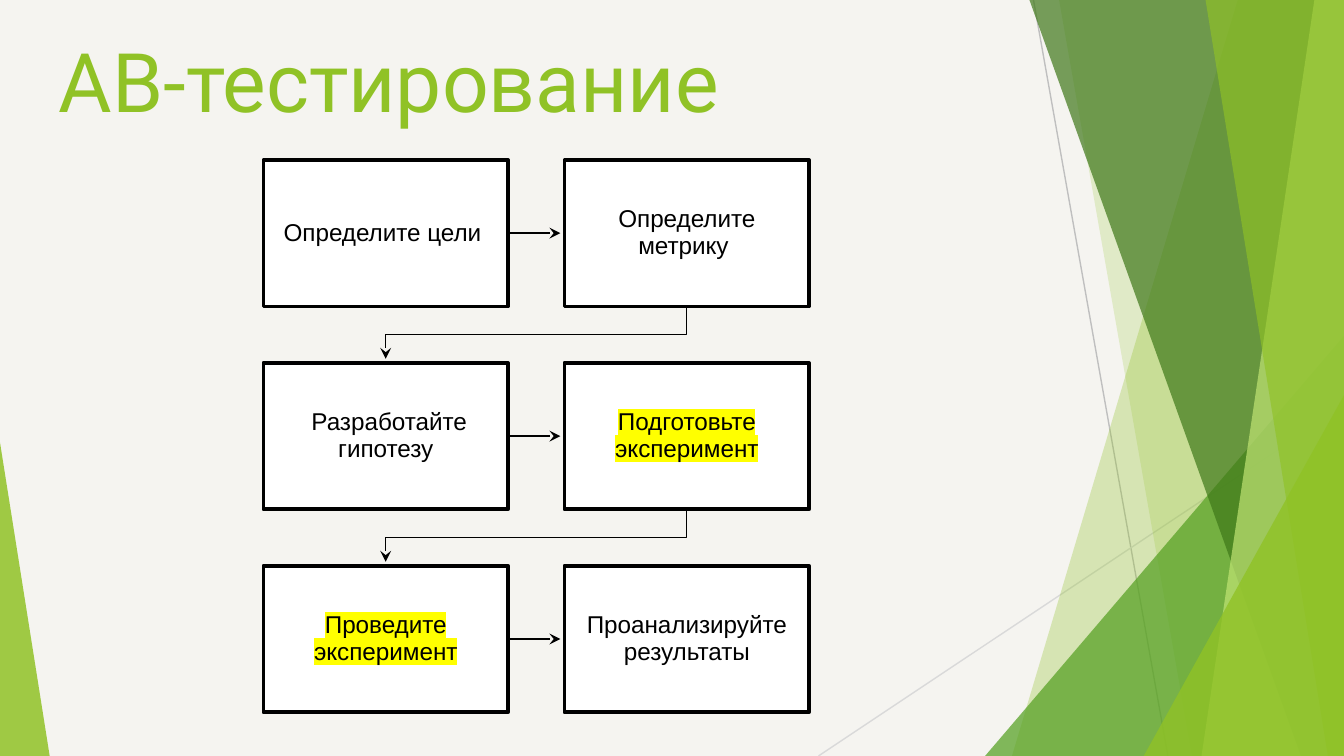
from dataclasses import dataclass

from pptx import Presentation
from pptx import util as u
from pptx.dml.color import RGBColor
from pptx.enum import shapes, text
from pptx.oxml import ns, xmlchemy


@dataclass(frozen=True)
class Theme:
    background: str = "F5F4F0"
    lime: str = "90C226"
    pale_lime: str = "C0E474"
    green: str = "54A021"
    dark_green: str = "3F7819"
    gray: str = "BFBFBF"
    light_gray: str = "D9D9D9"
    black: str = "000000"
    white: str = "FFFFFF"
    highlight: str = "FFFF00"
    title_font: str = "Roboto"
    body_font: str = "Arial"
    title_size: float = 44
    body_size: float = 13
    thin: float = 0.75
    thick: float = 2


THEME = Theme()
WIDTH = 10
HEIGHT = WIDTH * 9 / 16

# Flowchart grid
BOX_WIDTH, BOX_HEIGHT = 1.82, 1.09
COLUMNS = [1.96, 4.2]
ROWS = [1.19 + 1.51 * row for row in range(3)]
ARROW_GAP = 0.03
STEPS = [  # wording, highlighted
    [("Определите цели ", False), ("Определите метрику ", False)],
    [(" Разработайте гипотезу", False), ("Подготовьте эксперимент", True)],
    [("Проведите эксперимент", True), ("Проанализируйте результаты", False)],
]


def set_attributes(target, values):
    for name, value in values.items():
        setattr(target, name, value)


def add_xml(parent, tag, **attributes):
    child = xmlchemy.OxmlElement(tag)
    for name, value in attributes.items():
        child.set(name, value)
    parent.append(child)
    return child


def fill_shape(shape, color, opacity=100):
    shape.shadow.inherit = False
    shape.fill.solid()
    shape.fill.fore_color.rgb = RGBColor.from_string(color)
    if opacity < 100:
        solid = shape._element.spPr.find(ns.qn("a:solidFill"))
        add_xml(solid[0], "a:alpha", val=str(opacity * 1000))


def style_line(shape, color, width, arrow=False):
    shape.line.color.rgb = RGBColor.from_string(color)
    shape.line.width = u.Pt(width)
    if arrow:
        line = shape._element.spPr.find(ns.qn("a:ln"))
        add_xml(line, "a:tailEnd", type="stealth")


def add_line(slide, start, end, color, arrow=False):
    connector = slide.shapes.add_connector(
        shapes.MSO_CONNECTOR.STRAIGHT, *map(u.Inches, (*start, *end)))
    style_line(connector, color, THEME.thin, arrow)
    add_xml(connector._element.spPr, "a:effectLst")
    return connector


def add_outline(slide, points, close=True):
    start, *others = [(u.Inches(x), u.Inches(y)) for x, y in points]
    builder = slide.shapes.build_freeform(*start)
    builder.add_line_segments(others, close=close)
    return builder.convert_to_shape()


def add_band(slide, points, color, opacity):
    band = add_outline(slide, points)
    fill_shape(band, color, opacity)
    band.line.fill.background()


def add_triangle(slide, place, peak, color, opacity):
    triangle = slide.shapes.add_shape(
        shapes.MSO_SHAPE.ISOSCELES_TRIANGLE, *map(u.Inches, place))
    triangle.adjustments[0] = peak
    fill_shape(triangle, color, opacity)
    triangle.line.fill.background()


def write_text(shape, wording, font, size, color, frame_format, paragraph_format,
               highlighted=False):
    frame = shape.text_frame
    margins = dict.fromkeys(
        ("margin_left", "margin_top", "margin_right", "margin_bottom"), u.Inches(0.1))
    set_attributes(frame, {"word_wrap": True, **margins, **frame_format})
    paragraph = frame.paragraphs[0]
    set_attributes(paragraph, paragraph_format)
    run = paragraph.add_run()
    run.text = wording
    set_attributes(run.font, {"name": font, "size": u.Pt(size)})
    run.font.color.rgb = RGBColor.from_string(color)
    if highlighted:
        mark = xmlchemy.OxmlElement("a:highlight")
        add_xml(mark, "a:srgbClr", val=THEME.highlight)
        run._r.rPr.find(ns.qn("a:solidFill")).addnext(mark)


def add_step(slide, left, top, wording, highlighted):
    box = slide.shapes.add_shape(
        shapes.MSO_SHAPE.RECTANGLE, *map(u.Inches, (left, top, BOX_WIDTH, BOX_HEIGHT)))
    fill_shape(box, THEME.white)
    style_line(box, THEME.black, THEME.thick)
    write_text(box, wording, THEME.body_font, THEME.body_size, THEME.black,
               {"vertical_anchor": text.MSO_ANCHOR.MIDDLE},
               {"alignment": text.PP_ALIGN.CENTER, "line_spacing": 0.9}, highlighted)
    return box


def add_decoration(slide):
    add_line(slide, (7.69, 0), (8.69, HEIGHT), THEME.gray)
    add_line(slide, (WIDTH, 3.02), (6.09, HEIGHT), THEME.light_gray)

    def edge_band(top_x, bottom_x, color, opacity):
        corners = [(top_x, 0), (WIDTH, 0), (WIDTH, HEIGHT), (bottom_x, HEIGHT)]
        add_band(slide, corners, color, opacity)

    edge_band(9.21, 7.53, THEME.lime, 30)
    edge_band(7.88, 8.87, THEME.lime, 20)
    add_triangle(slide, (7.33, 2.5, 2.67, HEIGHT - 2.5), 1, THEME.green, 72)
    edge_band(7.66, 9.68, THEME.dark_green, 70)
    edge_band(9.78, 8.94, THEME.pale_lime, 70)
    edge_band(8.97, 9.88, THEME.lime, 65)
    add_triangle(slide, (8.51, 2.94, 1.49, HEIGHT - 2.94), 1, THEME.lime, 80)
    add_triangle(slide, (0, 3.29, 0.37, HEIGHT - 3.29), 0, THEME.lime, 85)


def add_title(slide, wording):
    title = slide.shapes.add_textbox(*map(u.Inches, (0.34, 0.21, 9.32, 0.85)))
    write_text(title, wording, THEME.title_font, THEME.title_size, THEME.lime,
               {"vertical_anchor": text.MSO_ANCHOR.BOTTOM}, {})


def add_flowchart(slide):
    left_center, right_center = [left + BOX_WIDTH / 2 for left in COLUMNS]
    for row, (top, steps) in enumerate(zip(ROWS, STEPS)):
        boxes = [add_step(slide, left, top, *step) for left, step in zip(COLUMNS, steps)]

        # Arrow across the row
        middle = top + BOX_HEIGHT / 2
        arrow = add_line(slide, (COLUMNS[0] + BOX_WIDTH, middle),
                         (COLUMNS[1] - ARROW_GAP, middle), THEME.black, arrow=True)
        arrow.begin_connect(boxes[0], 3)

        # Bent arrow down to the next row
        if row + 1 < len(ROWS):
            bottom, next_top = top + BOX_HEIGHT, ROWS[row + 1]
            bend = (bottom + next_top) / 2
            turn = add_outline(slide, [
                (right_center, bottom), (right_center, bend),
                (left_center, bend), (left_center, next_top - ARROW_GAP)], close=False)
            turn.shadow.inherit = False
            turn.fill.background()
            style_line(turn, THEME.black, THEME.thin, arrow=True)


def main():
    presentation = Presentation()
    set_attributes(presentation, {"slide_width": u.Inches(WIDTH),
                                  "slide_height": u.Inches(HEIGHT)})
    slide = presentation.slides.add_slide(presentation.slide_layouts[6])
    slide.background.fill.solid()
    slide.background.fill.fore_color.rgb = RGBColor.from_string(THEME.background)
    add_decoration(slide)
    add_title(slide, "AB-тестирование")
    add_flowchart(slide)
    presentation.save("out.pptx")


if __name__ == "__main__":
    main()
